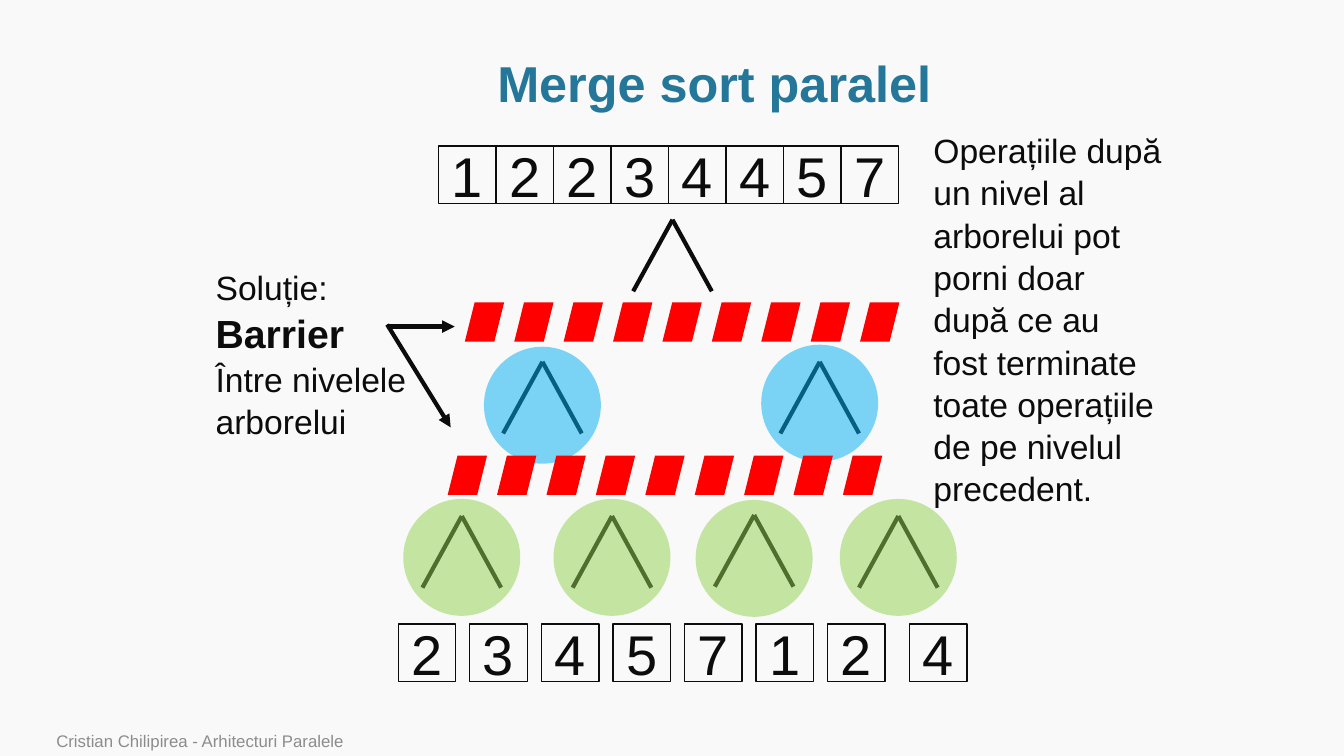
from lxml import etree
from pptx import Presentation
from pptx.dml.color import RGBColor
from pptx.enum.shapes import MSO_CONNECTOR, MSO_SHAPE
from pptx.enum.text import MSO_ANCHOR, PP_ALIGN
from pptx.oxml.ns import qn
from pptx.util import Inches, Pt

RECT, OVAL, SLANT = MSO_SHAPE.RECTANGLE, MSO_SHAPE.OVAL, MSO_SHAPE.PARALLELOGRAM
STRAIGHT = MSO_CONNECTOR.STRAIGHT
LEFT, CENTER = PP_ALIGN.LEFT, PP_ALIGN.CENTER
TOP, MIDDLE, BOTTOM = MSO_ANCHOR.TOP, MSO_ANCHOR.MIDDLE, MSO_ANCHOR.BOTTOM

BACKGROUND = RGBColor(0xF9, 0xF9, 0xF9)
INK = RGBColor(0x0C, 0x0C, 0x0C)
TEAL = RGBColor(0x24, 0x77, 0x98)
GRAY = RGBColor(0x8C, 0x8C, 0x8C)
RED = RGBColor(0xFF, 0x00, 0x00)
GREEN = RGBColor(0x92, 0xD0, 0x50)
BLUE = RGBColor(0x00, 0xB0, 0xF0)

CELL, CIRCLE, BAR, BAR_STEP = 0.57, 1.16, 0.39, 0.49
SORTED = "12234457"
UNSORTED = zip("23457124", [3.95 + 0.71 * i for i in range(7)] + [9.02])
# Merge nodes: apex x, apex y, circle top, circle colour
NODES = [
    (4.58, 5.12, 4.95, GREEN),
    (6.07, 5.12, 4.95, GREEN),
    (7.48, 5.11, 4.96, GREEN),
    (8.91, 5.12, 4.95, GREEN),
    (5.38, 3.59, 3.44, BLUE),
    (8.13, 3.59, 3.42, BLUE),
]
ROOT = (6.67, 2.18)
BARRIERS = [(4.44, 4.52), (4.61, 3.0)]
ARROWS = [(3.84, 3.24, 4.51, 3.24), (3.84, 3.22, 4.47, 4.24)]


class SlideBuilder:
    font = "Arial"

    def __init__(self, slide):
        self.s = slide
        fill = slide.background.fill
        fill.solid()
        fill.fore_color.rgb = BACKGROUND

    def fill_text(self, tf, paragraphs, anchor=TOP, align=LEFT, spacing=None):
        """Each paragraph is a list of (text, font format) runs."""
        tf.vertical_anchor = anchor
        for i, runs in enumerate(paragraphs):
            p = tf.add_paragraph() if i else tf.paragraphs[0]
            p.alignment = align
            if spacing:
                p.line_spacing = spacing
            for text, fmt in runs:
                r = p.add_run()
                r.text = text
                values = {"name": self.font, "color": INK, **fmt}
                r.font.color.rgb = values.pop("color")
                for key, value in values.items():
                    setattr(r.font, key, value)

    def text(self, x, y, w, h, paragraphs, **layout):
        tf = self.s.shapes.add_textbox(*map(Inches, (x, y, w, h))).text_frame
        tf.word_wrap = True
        self.fill_text(tf, paragraphs, **layout)

    def shape(self, kind, x, y, size, color=None, alpha=None):
        sp = self.s.shapes.add_shape(kind, *map(Inches, (x, y, size, size)))
        sp.shadow.inherit = False
        sp.line.fill.background()
        if color is None:
            sp.fill.background()
        else:
            sp.fill.solid()
            sp.fill.fore_color.rgb = color
        if alpha:
            rgb = sp._element.spPr.find(qn("a:solidFill"))[0]
            etree.SubElement(rgb, qn("a:alpha"), val=str(alpha * 1000))
        return sp

    def cell(self, x, y, digit):
        sp = self.shape(RECT, x, y, CELL)
        sp.line.color.rgb = INK
        sp.line.width = Pt(1)
        self.fill_text(sp.text_frame, [[(digit, {"size": Pt(40)})]], MIDDLE, CENTER)

    def line(self, x1, y1, x2, y2, arrow=False):
        c = self.s.shapes.add_connector(STRAIGHT, *map(Inches, (x1, y1, x2, y2)))
        c.line.color.rgb = INK
        c.line.width = Pt(3)
        spPr = c._element.spPr
        if arrow:
            etree.SubElement(spPr.find(qn("a:ln")), qn("a:tailEnd"), type="triangle")
        etree.SubElement(spPr, qn("a:effectLst"))

    def branches(self, x, y):
        for dx in (-0.39, 0.39):
            self.line(x + dx, y + 0.71, x, y)

    def barrier(self, x, y):
        for i in range(9):
            self.shape(SLANT, x + i * BAR_STEP, y, BAR, RED)


def main():
    prs = Presentation()
    prs.slide_width, prs.slide_height = Inches(13.33), Inches(7.5)
    b = SlideBuilder(prs.slides.add_slide(prs.slide_layouts[6]))

    for x, y, _, _ in NODES:
        b.branches(x, y)
    b.branches(*ROOT)
    for i, digit in enumerate(SORTED):
        b.cell(4.35 + i * CELL, 1.45, digit)
    for digit, x in UNSORTED:
        b.cell(x, 6.19, digit)
    for x, _, top, color in NODES:
        b.shape(OVAL, x - CIRCLE / 2, top, CIRCLE, color, alpha=51)
    for x, y in BARRIERS:
        b.barrier(x, y)

    body = {"size": Pt(24)}
    b.text(2.04, 2.58, 2.15, 1.78, [
        [("Soluție:", body)],
        [("Barrier", {"size": Pt(28), "bold": True}),
         (" Între nivelele arborelui", body)],
    ], spacing=1.05)
    for ends in ARROWS:
        b.line(*ends, arrow=True)
    b.text(9.16, 1.22, 2.47, 3.74, [[(
        "Operațiile după un nivel al arborelui pot porni doar după ce au fost "
        "terminate toate operațiile de pe nivelul precedent.", body)]], spacing=1.05)
    b.text(1.14, 0.51, 11.89, 0.69,
           [[("Merge sort paralel", {"size": Pt(36), "bold": True, "color": TEAL})]],
           anchor=MIDDLE, align=CENTER, spacing=0.9)
    b.text(0.46, 7.22, 9.82, 0.28,
           [[("Cristian Chilipirea - Arhitecturi Paralele",
              {"size": Pt(12), "color": GRAY})]], anchor=BOTTOM)

    prs.save("out.pptx")


if __name__ == "__main__":
    main()
